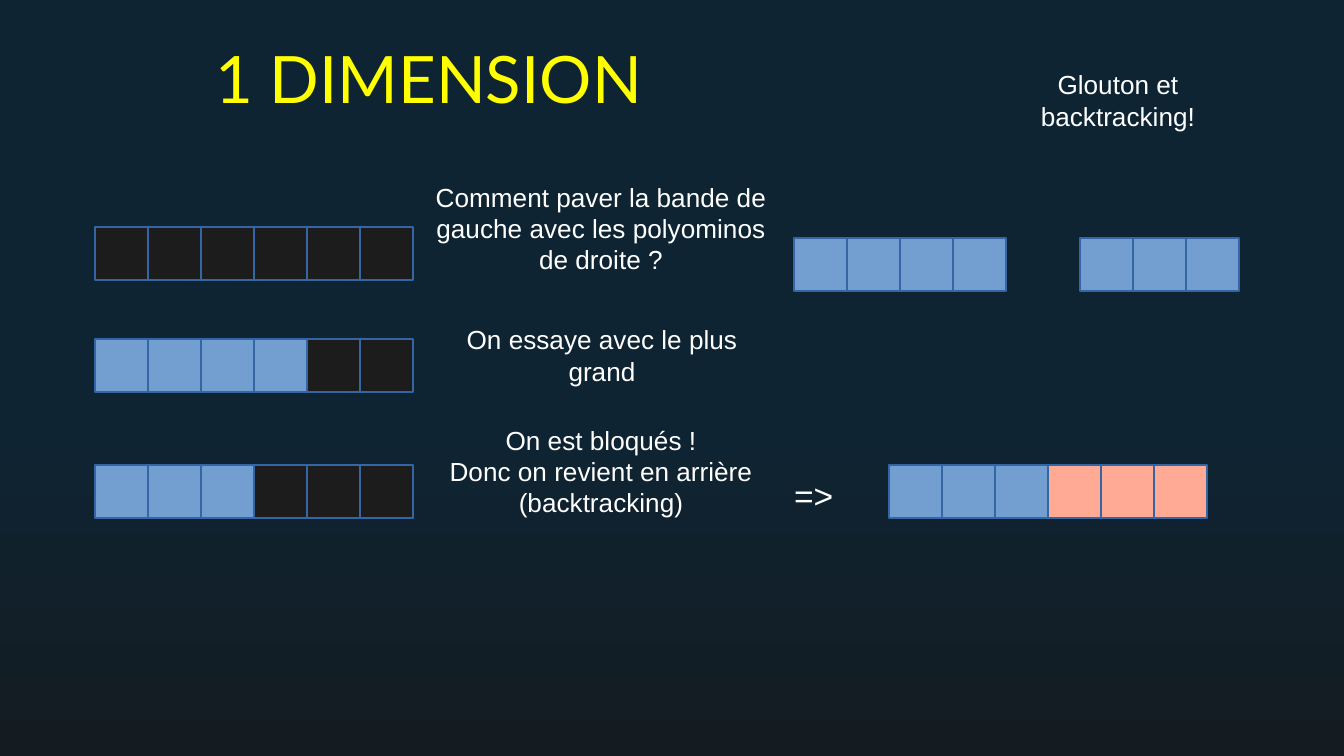
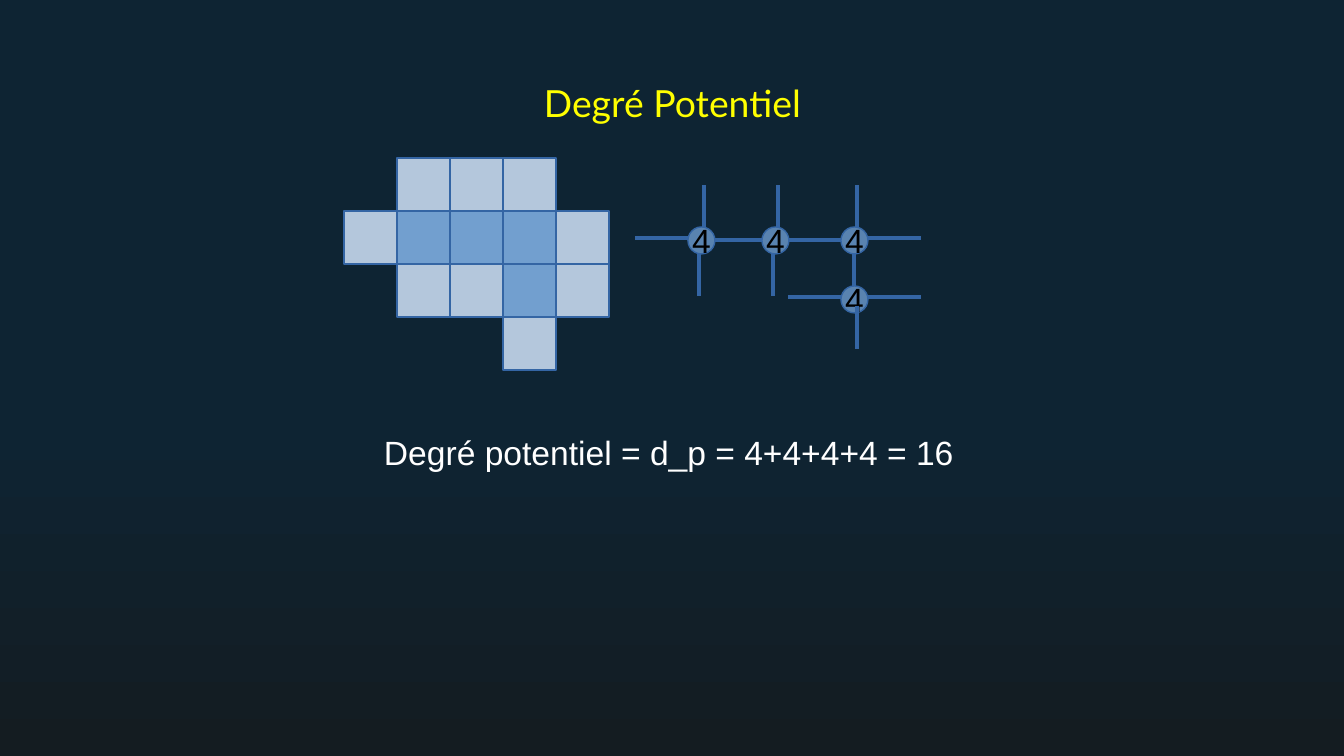
import lxml.etree
import pptx
import pptx.dml.color
import pptx.enum.shapes
import pptx.enum.text
import pptx.oxml.ns
import pptx.util

PX = 914400 / 134.4
WIDTH, HEIGHT = 1344, 756
CELL = 53
NODE = 27
COLOURS = {
    "night": "0E2433", "dusk": "141C21", "title": "FFFF00", "text": "FFFFFF",
    "outline": "3465A4", "node": "5983B0", "label": "000000",
    "piece": "729FCF", "empty": "1C1C1C", "second": "FFAA95", "border": "B4C7DC",
}
CELL_KINDS = {"P": "piece", "E": "empty", "S": "second", "B": "border"}
# Ends of each stub, relative to the top left corner of its node
STUBS = {
    "up": (16, 0, 16, -42),
    "down": (11, NODE, 11, 69),
    "left": (0, 11, -53, 11),
    "right": (NODE, 11, 80, 11),
    "tail": (16, 20, 16, 63),
}
ALIGN = pptx.enum.text.PP_ALIGN
ANCHOR = pptx.enum.text.MSO_ANCHOR
SHAPE = pptx.enum.shapes.MSO_SHAPE
CONNECTOR = pptx.enum.shapes.MSO_CONNECTOR


def emu(*lengths):
    return [round(length * PX) for length in lengths]


def colour(name):
    return pptx.dml.color.RGBColor.from_string(COLOURS[name])


class Slides:
    def __init__(self):
        self.deck = pptx.Presentation()
        self.deck.slide_width, self.deck.slide_height = emu(WIDTH, HEIGHT)
        self.page = None
        self.paint_background()

    def paint_background(self):
        fill = self.deck.slide_master.background.fill
        fill.gradient()
        fill.gradient_angle = 270
        stops = zip(fill.gradient_stops, (0.56, 1), ("night", "dusk"))
        for stop, position, name in stops:
            stop.position = position
            stop.color.rgb = colour(name)

    def add_page(self, title, at, size, align=ALIGN.LEFT):
        self.page = self.deck.slides.add_slide(self.deck.slide_layouts[5])
        box = self.page.shapes.title
        box.left, box.top, box.width, box.height = emu(*at)
        self.set_text(box, [title], size, "title", align, (13, 13), font="Lato")

    def set_text(self, box, lines, size, ink, align, insets, anchor=ANCHOR.MIDDLE,
                 wrap=True, font="Arial"):
        """Fill a shape with one paragraph per line; insets are (sides, top and bottom)."""
        frame = box.text_frame
        frame.auto_size = pptx.enum.text.MSO_AUTO_SIZE.NONE
        frame.word_wrap = wrap
        frame.vertical_anchor = anchor
        frame.margin_left = frame.margin_right = emu(insets[0])[0]
        frame.margin_top = frame.margin_bottom = emu(insets[1])[0]
        frame.text = "\n".join(lines)
        for para in frame.paragraphs:
            para.alignment = align
            para.font.name = font
            para.font.size = pptx.util.Pt(size)
            para.font.color.rgb = colour(ink)

    def comment(self, at, *lines):
        box = self.page.shapes.add_textbox(*emu(*at))
        self.set_text(box, lines, 14, "text", ALIGN.CENTER, (27, 27))

    def formula(self, at, text):
        box = self.page.shapes.add_textbox(*emu(*at))
        self.set_text(box, [text], 18, "text", ALIGN.LEFT, (13, 7), ANCHOR.TOP, wrap=False)

    def shape(self, kind, at, fill):
        shape = self.page.shapes.add_shape(kind, *emu(*at))
        shape.shadow.inherit = False
        shape.fill.solid()
        shape.fill.fore_color.rgb = colour(fill)
        self.outline(shape)
        return shape

    def outline(self, shape):
        shape.line.color.rgb = colour("outline")
        shape.line.width = pptx.util.Pt(0)

    def polyomino(self, left, top, *rows):
        """Draw one square per letter of the rows; a dot leaves a gap."""
        for line, row in enumerate(rows):
            for column, letter in enumerate(row):
                if letter in CELL_KINDS:
                    at = (left + column * CELL, top + line * CELL, CELL, CELL)
                    self.shape(SHAPE.RECTANGLE, at, CELL_KINDS[letter])

    def node(self, left, top, label):
        circle = self.shape(SHAPE.OVAL, (left, top, NODE, NODE), "node")
        self.set_text(circle, [label], 18, "label", ALIGN.CENTER, (13, 7), wrap=False)

    def link(self, ends, kind=CONNECTOR.STRAIGHT):
        line = self.page.shapes.add_connector(kind, *emu(*ends))
        self.outline(line)
        properties = line._element.spPr
        lxml.etree.SubElement(properties, pptx.oxml.ns.qn("a:effectLst"))


def add_one_dimension(slides):
    slides.add_page("1 DIMENSION", (202, 16, 794, 122), 35)
    slides.polyomino(794, 238, "PPPP")
    slides.polyomino(1080, 238, "PPP")
    for top, row in ((227, "EEEEEE"), (339, "PPPPEE"), (465, "PPPEEE")):
        slides.polyomino(95, top, row)
    slides.polyomino(889, 465, "PPPSSS")
    slides.comment((978, 41, 280, 118), "Glouton et backtracking!")
    slides.comment((408, 149, 386, 158),
                   "Comment paver la bande de gauche avec les polyominos de droite ?")
    slides.comment((409, 276, 386, 158), "On essaye avec le plus grand")
    slides.comment((408, 392, 386, 158), "On est bloqués !",
                   "Donc on revient en arrière (backtracking)")
    slides.formula((781, 468, 66, 51), "=>")


def add_potential_degree(slides):
    slides.add_page("Degré Potentiel", (106, 79, 1133, 48), 20, ALIGN.CENTER)
    slides.polyomino(344, 158, ".BBB.", "BPPPB", ".BBPB", "...B.")

    nodes = [
        (688, 227, ("up", "down", "left")),
        (762, 227, ("up", "down")),
        (841, 227, ("up", "right")),
        (841, 286, ("tail", "left", "right")),
    ]
    for left, top, stubs in nodes:
        slides.node(left, top, "4")
    for (left, top, _), (next_left, next_top, _) in zip(nodes, nodes[1:]):
        if top == next_top:
            middle = top + NODE // 2
            ends = (left + NODE, middle, next_left, middle)
        else:
            middle = left + NODE // 2
            ends = (middle, top + NODE, middle, next_top)
        slides.link(ends, CONNECTOR.ELBOW)
    for left, top, stubs in nodes:
        for stub in stubs:
            x1, y1, x2, y2 = STUBS[stub]
            slides.link((left + x1, top + y1, left + x2, top + y2))

    slides.formula((371, 425, 609, 89), "Degré potentiel = d_p = 4+4+4+4 = 16")


def main():
    slides = Slides()
    add_one_dimension(slides)
    add_potential_degree(slides)
    slides.deck.save("out.pptx")


if __name__ == "__main__":
    main()
